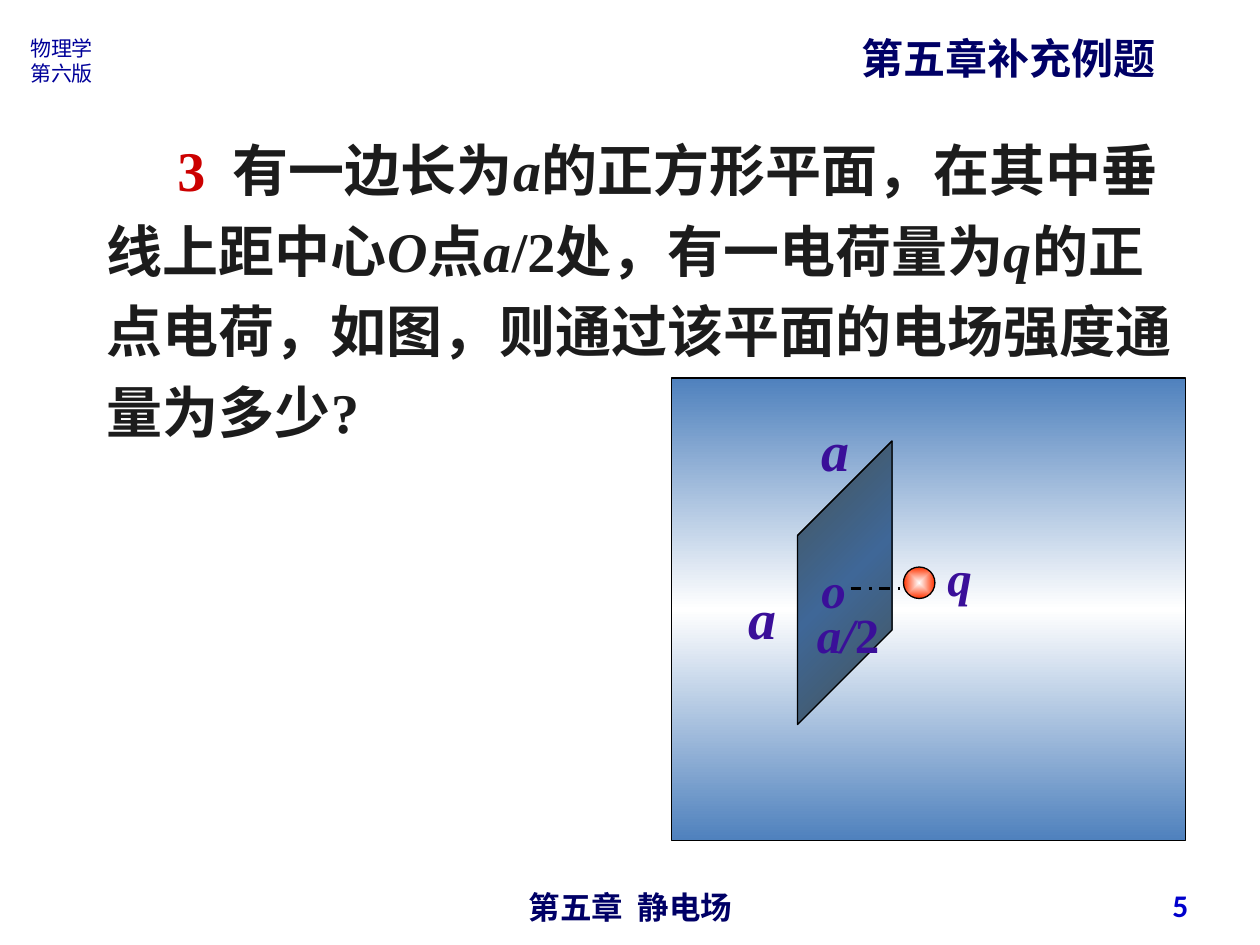
import pptx
import pptx.util
import pptx.dml.color
import pptx.enum.dml
import pptx.enum.shapes
import pptx.enum.text
import pptx.oxml
import pptx.oxml.ns

Inches, Pt = pptx.util.Inches, pptx.util.Pt
SHAPE = pptx.enum.shapes.MSO_SHAPE
ALIGN = pptx.enum.text.PP_ALIGN
HAN, ROMAN = "Noto Sans CJK SC", "Times New Roman"
NAVY, VIOLET, DARK = "000066", "3A0F99", "1C1C1C"


def color(code):
    return pptx.dml.color.RGBColor.from_string(code)


def style(run, code, **form):
    """Set font attributes, with one face for Chinese text."""
    for key, val in form.items():
        setattr(run.font, key, val)
    run.font.color.rgb = color(code)
    east = pptx.oxml.parse_xml(
        f'<a:ea {pptx.oxml.ns.nsdecls("a")} typeface="{HAN}"/>')
    run.font._element.find(pptx.oxml.ns.qn("a:latin")).addnext(east)


def write(shapes, box, lines, align=ALIGN.LEFT, wrap=True, **form):
    """Add a text box; each line is a list of (text, colour, italic)."""
    frame = shapes.add_textbox(*map(Inches, box)).text_frame
    frame.word_wrap = wrap
    for num, line in enumerate(lines):
        para = frame.add_paragraph() if num else frame.paragraphs[0]
        para.alignment = align
        for text, code, slant in line:
            run = para.add_run()
            run.text = text
            style(run, code, italic=slant, **form)
    return frame


def blend(shape, stops, shade):
    """Replace the fill by a gradient and draw a thin black outline."""
    marks = "".join(f'<a:gs pos="{at * 1000}"><a:srgbClr val="{code}"/></a:gs>'
                    for at, code in stops)
    grad = pptx.oxml.parse_xml(
        f'<a:gradFill {pptx.oxml.ns.nsdecls("a")} rotWithShape="1">'
        f'<a:gsLst>{marks}</a:gsLst>{shade}</a:gradFill>')
    shape.fill.solid()
    props = shape._element.spPr
    props.replace(props.find(pptx.oxml.ns.qn("a:solidFill")), grad)
    shape.line.color.rgb = color("000000")
    shape.line.width = Pt(0.75)
    shape.shadow.inherit = False


def header(shapes, left, top):
    # Book title and chapter title
    write(shapes, (left, top, 0.72, 0.5),
          [[("物理学", "000099", False)], [("第六版", "000099", False)]],
          name=HAN, size=Pt(12))
    write(shapes, (left + 6.6, top - 0.02, 2.53, 0.5),
          [[("第五章补充例题", NAVY, False)]], ALIGN.CENTER, False,
          name=HAN, size=Pt(24), bold=True)


def problem(shapes, box):
    # Problem text: the number stands on an indent, then a tab
    parts = [("3\t", "CC0000", False)]
    words = ("有一边长为", "a", "的正方形平面，在其中垂线上距中心", "O", "点", "a",
             "/2处，有一电荷量为", "q",
             "的正点电荷，如图，则通过该平面的电场强度通量为多少?")
    parts += [(word, DARK, num % 2 == 1) for num, word in enumerate(words)]
    frame = write(shapes, box, [parts], name=ROMAN, size=Pt(32), bold=True)
    para = frame.paragraphs[0]
    para.line_spacing = 1.2
    props = para._p.get_or_add_pPr()
    props.set("marL", "0")
    props.set("indent", str(Inches(0.56)))
    props.append(pptx.oxml.parse_xml(
        f'<a:tabLst {pptx.oxml.ns.nsdecls("a")}>'
        f'<a:tab pos="{Inches(1.23)}" algn="l"/></a:tabLst>'))


def figure(shapes, left, top, wide, high):
    group = shapes.add_group_shape().shapes

    def solid(kind, x, y, w, h):
        return group.add_shape(kind, *map(Inches, (left + x, top + y, w, h)))

    def label(x, y, w, h, text, size, wrap=False, align=ALIGN.LEFT, tail=""):
        parts = [(text, VIOLET, True)]
        if tail:
            parts.append((tail, VIOLET, False))
        write(group, (left + x, top + y, w, h), [parts], align, wrap,
              name=ROMAN, size=Pt(size), bold=True)

    # Backdrop and square plane seen from the side
    blend(solid(SHAPE.RECTANGLE, 0, 0, wide, high),
          [(0, "4F81BD"), (50, "FFFFFF"), (100, "4F81BD")],
          '<a:lin ang="5400000" scaled="1"/>')
    plane = solid(SHAPE.CUBE, 1, 0.5, 0.75, 2.25)
    plane.adjustments[0] = 1
    blend(plane, [(0, "576869"), (50, "4F81BD"), (100, "576869")],
          '<a:lin ang="2700000" scaled="1"/>')

    # Axis from the centre to the charge
    axis = group.add_connector(
        pptx.enum.shapes.MSO_CONNECTOR.STRAIGHT,
        *map(Inches, (left + 1.42, top + 1.67, left + 1.92, top + 1.67)))
    axis.line.color.rgb = color("000000")
    axis.line.width = Pt(1.5)
    axis.line.dash_style = pptx.enum.dml.MSO_LINE.DASH_DOT
    axis._element.spPr.append(pptx.oxml.parse_xml(
        f'<a:effectLst {pptx.oxml.ns.nsdecls("a")}/>'))

    # Labels
    label(0.51, 1.58, 0.42, 0.64, "a", 32)
    label(1.09, 1.39, 0.39, 0.57, "o", 28)
    label(2.09, 1.3, 0.39, 0.57, "q", 28)
    label(1.04, 1.75, 0.72, 0.57, "a/", 28, True, ALIGN.CENTER, "2")
    label(1.09, 0.25, 0.42, 0.64, "a", 32)

    # Point charge
    blend(solid(SHAPE.OVAL, 1.84, 1.5, 0.25, 0.25),
          [(0, "FFFFFF"), (100, "FF3300")],
          '<a:path path="rect"><a:fillToRect l="50000" t="50000" '
          'r="50000" b="50000"/></a:path>')


def footer(shapes, left, top):
    # Chapter name and page number
    write(shapes, (left, top, 3.17, 0.29),
          [[("第五章  静电场", NAVY, False)]], ALIGN.CENTER,
          name="Arial", size=Pt(18), bold=True)
    page = write(shapes, (left + 3.78, top - 0.02, 2.33, 0.4),
                 [[("5", "0000CC", False)]], ALIGN.RIGHT,
                 name="Calibri", size=Pt(18), bold=True)
    page.vertical_anchor = pptx.enum.text.MSO_ANCHOR.MIDDLE


def main():
    deck = pptx.Presentation()
    deck.slide_width, deck.slide_height = Inches(10), Inches(7.5)
    shapes = deck.slides.add_slide(deck.slide_layouts[6]).shapes
    header(shapes, 0.14, 0.23)
    footer(shapes, 3.42, 7)
    problem(shapes, (0.75, 0.92, 8.75, 2.66))
    figure(shapes, 5.33, 3, 4.08, 3.67)
    deck.save("out.pptx")


if __name__ == "__main__":
    main()
